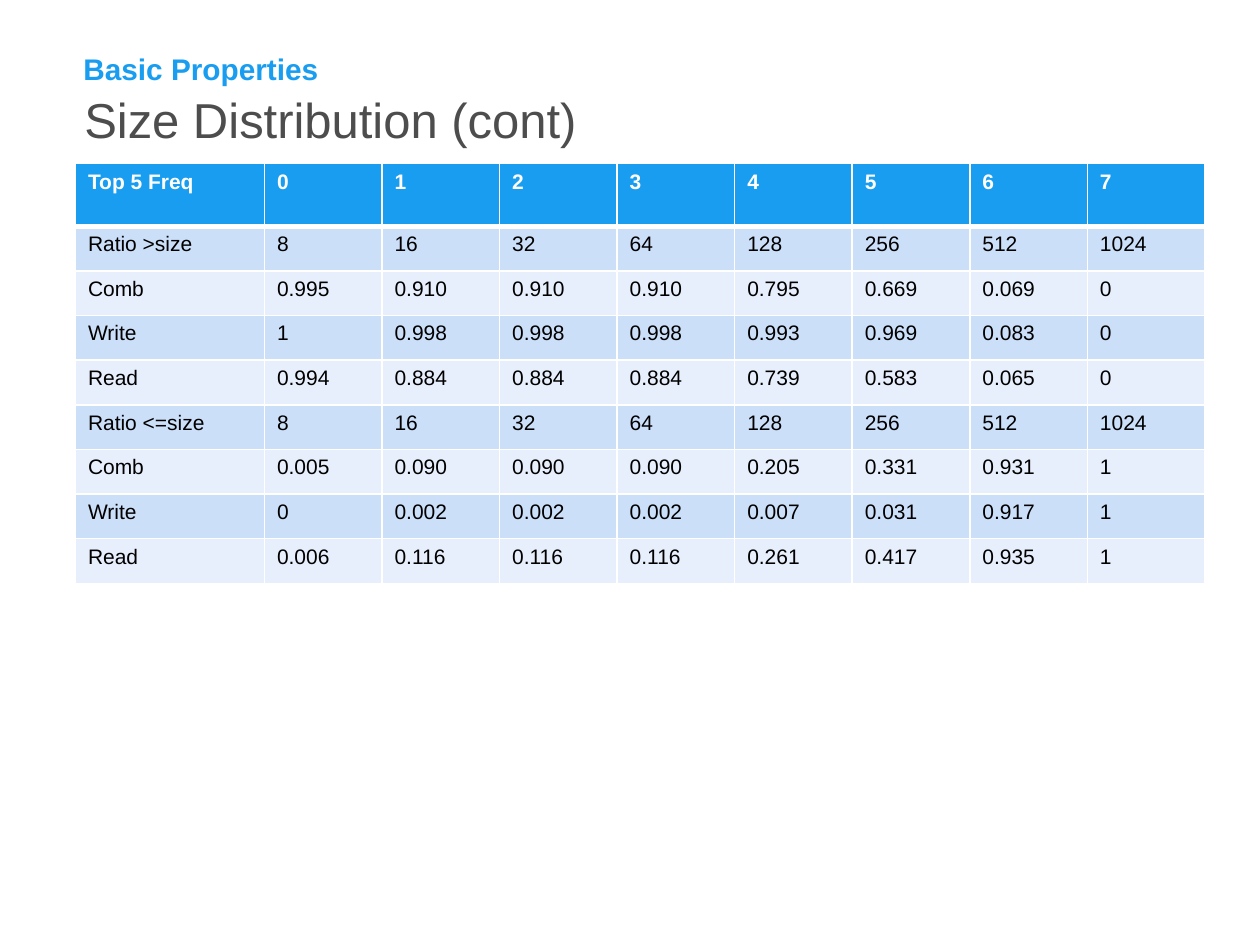
from lxml.etree import SubElement
from pptx import Presentation
from pptx.dml.color import RGBColor
from pptx.enum.text import MSO_ANCHOR as Anchor
from pptx.oxml.ns import qn
from pptx.util import Cm, Pt

WHITE, BLACK, GREY, BLUE = "FFFFFF", "000000", "4D4D4D", "199DF0"
BANDS = ("CCDFF9", "E8EFFC")
SIZES = "8 16 32 64 128 256 512 1024"
ROWS = [
    ("Top 5 Freq", "0 1 2 3 4 5 6 7"),
    ("Ratio >size", SIZES),
    ("Comb", "0.995 0.910 0.910 0.910 0.795 0.669 0.069 0"),
    ("Write", "1 0.998 0.998 0.998 0.993 0.969 0.083 0"),
    ("Read", "0.994 0.884 0.884 0.884 0.739 0.583 0.065 0"),
    ("Ratio <=size", SIZES),
    ("Comb", "0.005 0.090 0.090 0.090 0.205 0.331 0.931 1"),
    ("Write", "0 0.002 0.002 0.002 0.007 0.031 0.917 1"),
    ("Read", "0.006 0.116 0.116 0.116 0.261 0.417 0.935 1"),
]


def color(value):
    return RGBColor.from_string(value)


def set_attributes(target, values):
    for name, value in values.items():
        setattr(target, name, value)


def write_text(paragraph, text, size, text_color, bold=False):
    run = paragraph.add_run()
    run.text = text
    set_attributes(run.font, {"name": "Arial", "size": Pt(size), "bold": bold})
    run.font.color.rgb = color(text_color)


def add_heading(slide, box, frame_format, text, **text_format):
    shape = slide.shapes.add_textbox(*map(Cm, box))
    set_attributes(shape.text_frame, {"word_wrap": True, **frame_format})
    paragraph = shape.text_frame.paragraphs[0]
    paragraph.line_spacing = 0.9
    write_text(paragraph, text, **text_format)


def add_borders(cell, widths):
    properties = cell._tc.get_or_add_tcPr()
    for side, width in widths.items():
        line = SubElement(properties, qn(f"a:ln{side}"), w=str(Pt(width)))
        fill = SubElement(line, qn("a:solidFill"))
        SubElement(fill, qn("a:srgbClr"), val=WHITE)


def format_cell(cell, text, row_index):
    header = row_index == 0
    add_borders(cell, {
        "L": 1,
        "R": 1,
        "T": 3 if row_index == 1 else 1,
        "B": 3 if header else 1,
    })
    cell.fill.solid()
    cell.fill.fore_color.rgb = color(BLUE if header else BANDS[(row_index - 1) % 2])
    write_text(cell.text_frame.paragraphs[0], text, 12,
               WHITE if header else BLACK, header)


def add_ratio_table(slide, left, top, column_widths, row_heights):
    table = slide.shapes.add_table(
        len(row_heights), len(column_widths), Cm(left), Cm(top),
        Cm(sum(column_widths)), Cm(sum(row_heights))).table
    for column, width in zip(table.columns, column_widths):
        column.width = Cm(width)
    for row_index, (label, values) in enumerate(ROWS):
        row = table.rows[row_index]
        row.height = Cm(row_heights[row_index])
        for cell, text in zip(row.cells, [label, *values.split()]):
            format_cell(cell, text, row_index)


def main():
    presentation = Presentation()
    set_attributes(presentation, {"slide_width": Cm(25.4), "slide_height": Cm(19.05)})
    slide = presentation.slides.add_slide(presentation.slide_layouts[6])
    add_heading(slide, (1.45, 1.8, 22.38, 1.47),
                {"vertical_anchor": Anchor.MIDDLE, "margin_top": 0,
                 "margin_bottom": Cm(0.13)},
                "Size Distribution (cont)", size=28, text_color=GREY)
    add_heading(slide, (1.68, 0.66, 22.38, 1.09),
                {"vertical_anchor": Anchor.BOTTOM, "margin_left": 0,
                 "margin_top": 0, "margin_right": 0, "margin_bottom": 0},
                "Basic Properties", size=17, text_color=BLUE, bold=True)
    add_ratio_table(slide, 1.52, 3.3, [3.81] + [2.37] * 8, [1.26] + [0.9] * 8)
    presentation.save("out.pptx")


main()
